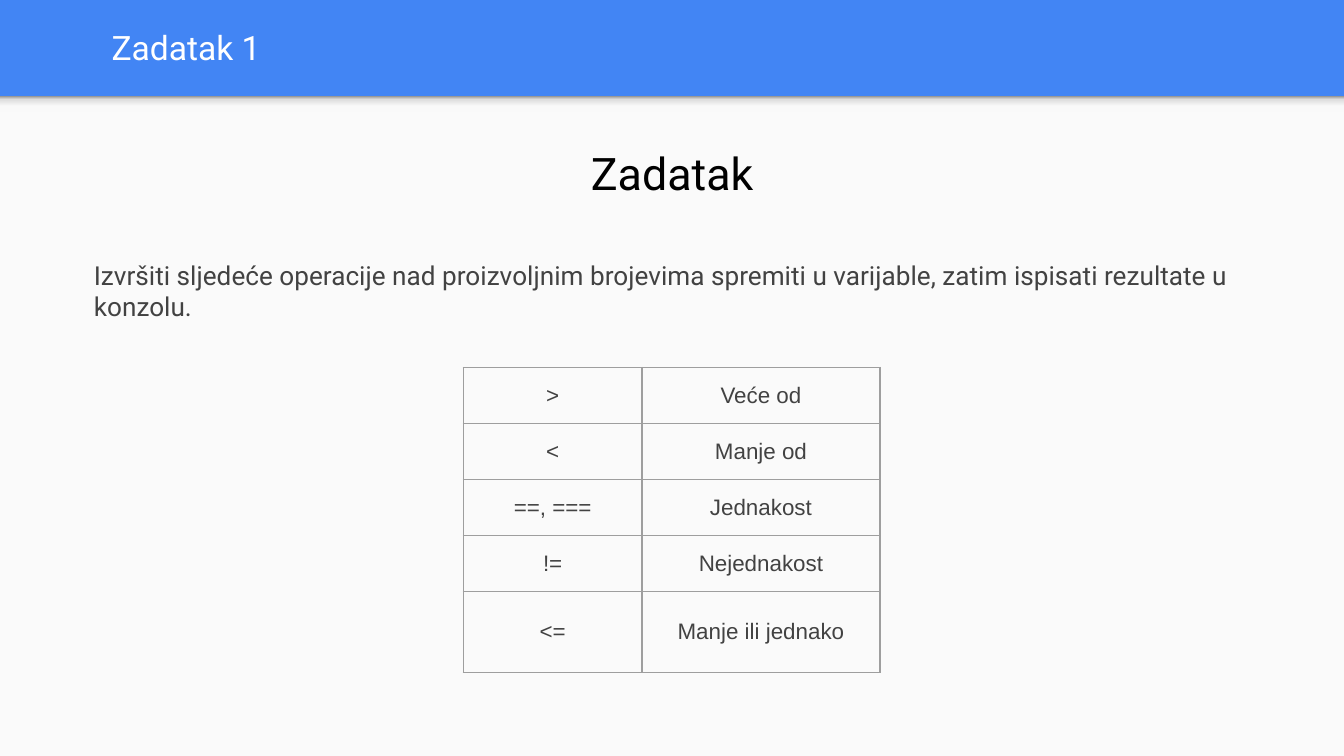
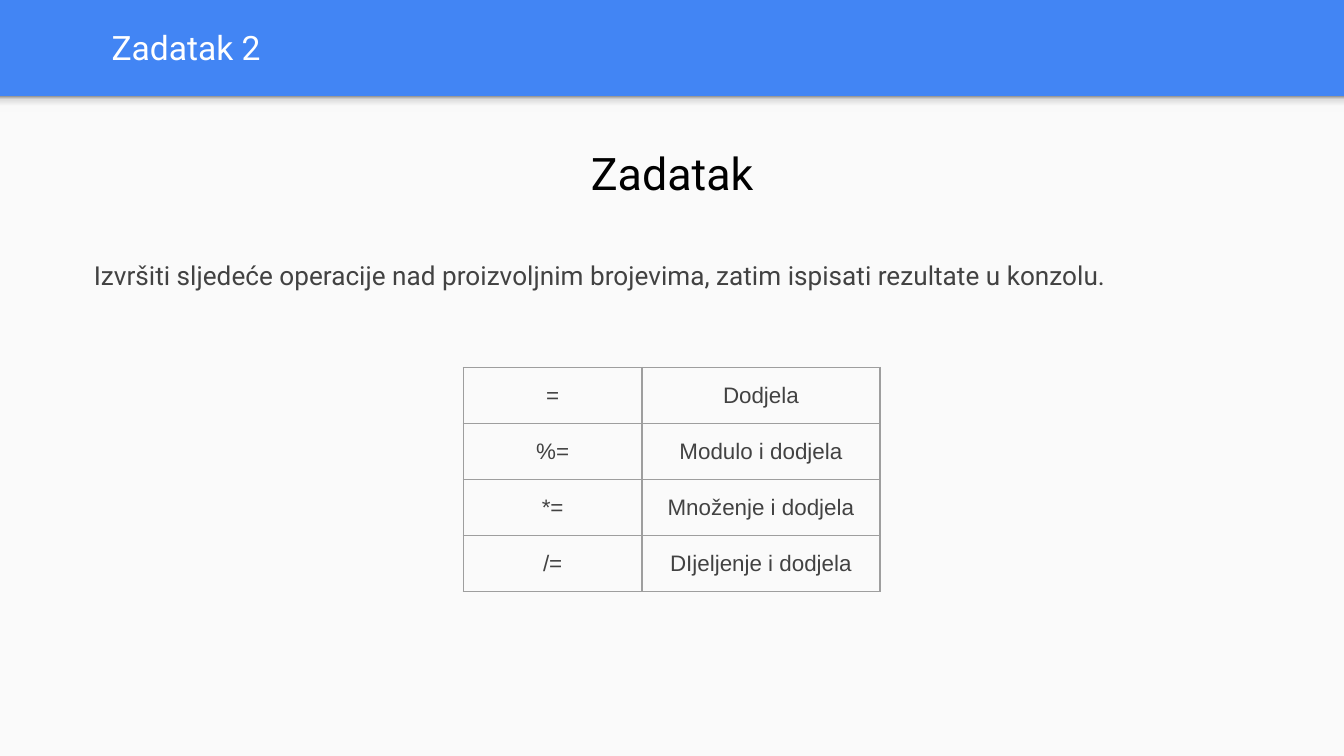
from lxml import etree
from pptx import Presentation
from pptx.dml.color import RGBColor
from pptx.enum import shapes, text
from pptx.oxml import ns
from pptx.util import Pt

BLUE = RGBColor(0x42, 0x85, 0xF4)
PAPER = RGBColor(0xFA, 0xFA, 0xFA)
WHITE = RGBColor(0xFF, 0xFF, 0xFF)
BLACK = RGBColor(0, 0, 0)
GRAY = RGBColor(0x42, 0x42, 0x42)
BORDER = RGBColor(0x9E, 0x9E, 0x9E)
SHADE_STOPS = (
    (0, RGBColor(0xF9, 0xF9, 0xF9)),
    (36, RGBColor(0xF9, 0xF9, 0xF9)),
    (80, RGBColor(0xDE, 0xDE, 0xDE)),
    (100, RGBColor(0x99, 0x99, 0x99)),
)

WIDTH, HEIGHT = 720, 405
BAND_HEIGHT = 51.6
INSET = 7.2
COLUMN_WIDTHS = (95.8, 127.4)
ROW_HEIGHT, TALL_ROW_HEIGHT = 30, 43.4

TASKS = (
    {
        "title": "Zadatak 1",
        "instruction": "Izvršiti sljedeće operacije nad proizvoljnim brojevima spremiti "
                       "u varijable, zatim ispisati rezultate u konzolu.",
        "instruction_height": 48.2,
        "operators": ((">", "Veće od"), ("<", "Manje od"), ("==, ===", "Jednakost"),
                      ("!=", "Nejednakost"), ("<=", "Manje ili jednako")),
    },
    {
        "title": "Zadatak 2",
        "instruction": "Izvršiti sljedeće operacije nad proizvoljnim brojevima, "
                       "zatim ispisati rezultate u konzolu.",
        "instruction_height": 31.7,
        "operators": (("=", "Dodjela"), ("%=", "Modulo i dodjela"),
                      ("*=", "Množenje i dodjela"), ("/=", "DIjeljenje i dodjela")),
    },
)


def points(box):
    return [Pt(length) for length in box]


def write(frame, wording, size, color, font="Roboto", align=text.PP_ALIGN.LEFT):
    paragraph = frame.paragraphs[0]
    paragraph.alignment = align
    run = paragraph.add_run()
    run.text = wording
    run.font.size = Pt(size)
    run.font.name = font
    run.font.color.rgb = color


def set_insets(holder):
    """Give a text frame or a table cell the same inset on every side."""
    holder.margin_left = holder.margin_right = Pt(INSET)
    holder.margin_top = holder.margin_bottom = Pt(INSET)


def add_color(parent, color):
    etree.SubElement(parent, ns.qn("a:srgbClr"), val=str(color))


def add_text(slide, box, wording, **style):
    frame = slide.shapes.add_textbox(*points(box)).text_frame
    frame.word_wrap = True
    frame.auto_size = text.MSO_AUTO_SIZE.SHAPE_TO_FIT_TEXT
    set_insets(frame)
    write(frame, wording, **style)


def add_block(slide, box):
    block = slide.shapes.add_shape(shapes.MSO_SHAPE.RECTANGLE, *points(box))
    block.shadow.inherit = False
    block.line.fill.background()
    return block


def shade(block):
    """Fade the block from dark at its top to the paper colour below."""
    block.fill.gradient()
    block.fill.gradient_angle = 90
    stops = block.element.find(".//" + ns.qn("a:gsLst"))
    for stop in list(stops):
        stops.remove(stop)
    for percent, color in SHADE_STOPS:
        add_color(etree.SubElement(stops, ns.qn("a:gs"), pos=str(percent * 1000)), color)


def style_layout(layout, drawing_slide):
    """Set up the shared look; its blocks are drawn on a slide, then moved to the layout."""
    layout.background.fill.solid()
    layout.background.fill.fore_color.rgb = BLUE
    title, *footers = layout.placeholders
    for footer in footers:
        footer.element.getparent().remove(footer.element)
    title.left, title.top, title.width, title.height = points((52.6, 1.6, 667.4, 47.5))

    panel = add_block(drawing_slide, (0, BAND_HEIGHT, WIDTH, HEIGHT - BAND_HEIGHT))
    panel.fill.solid()
    panel.fill.fore_color.rgb = PAPER
    band_shadow = add_block(drawing_slide, (0, BAND_HEIGHT, WIDTH, 8.6))
    shade(band_shadow)
    for block in (panel, band_shadow):
        layout.shapes.element.append(block.element)


def outline_cell(cell):
    properties = cell._tc.get_or_add_tcPr()
    for position, side in enumerate(("lnL", "lnR", "lnT", "lnB")):
        line = etree.Element(ns.qn("a:" + side), w=str(Pt(0.75)))
        add_color(etree.SubElement(line, ns.qn("a:solidFill")), BORDER)
        properties.insert(position, line)


def add_operator_table(slide, left, top, operators):
    heights = [ROW_HEIGHT] * 4 + [TALL_ROW_HEIGHT] * (len(operators) - 4)
    box = points((left, top, sum(COLUMN_WIDTHS), sum(heights)))
    table = slide.shapes.add_table(len(operators), len(COLUMN_WIDTHS), *box).table
    table.first_row = table.horz_banding = False
    for column, width in zip(table.columns, COLUMN_WIDTHS):
        column.width = Pt(width)
    for row, height, wordings in zip(table.rows, heights, operators):
        row.height = Pt(height)
        for cell, wording in zip(row.cells, wordings):
            cell.fill.background()
            cell.vertical_anchor = text.MSO_ANCHOR.MIDDLE
            set_insets(cell)
            outline_cell(cell)
            write(cell.text_frame, wording, size=12, color=GRAY, font="Arial",
                  align=text.PP_ALIGN.CENTER)


def fill_title(slide, wording):
    frame = slide.shapes.title.text_frame
    frame.auto_size = text.MSO_AUTO_SIZE.NONE
    frame.vertical_anchor = text.MSO_ANCHOR.MIDDLE
    set_insets(frame)
    write(frame, wording, size=18, color=WHITE)


def fill_task_slide(slide, task):
    fill_title(slide, task["title"])
    add_text(slide, (43.2, 131.8, 633, task["instruction_height"]), task["instruction"],
             size=14, color=GRAY)
    add_text(slide, (132.2, 70.6, 455.8, 43.9), "Zadatak",
             size=24, color=BLACK, align=text.PP_ALIGN.CENTER)
    add_operator_table(slide, 248.2, 196.9, task["operators"])


def main():
    deck = Presentation()
    deck.slide_width, deck.slide_height = Pt(WIDTH), Pt(HEIGHT)
    layout = deck.slide_layouts.get_by_name("Title Only")
    task_slides = [deck.slides.add_slide(layout) for _ in TASKS]
    style_layout(layout, task_slides[0])
    for slide, task in zip(task_slides, TASKS):
        fill_task_slide(slide, task)
    deck.save("out.pptx")


if __name__ == "__main__":
    main()
